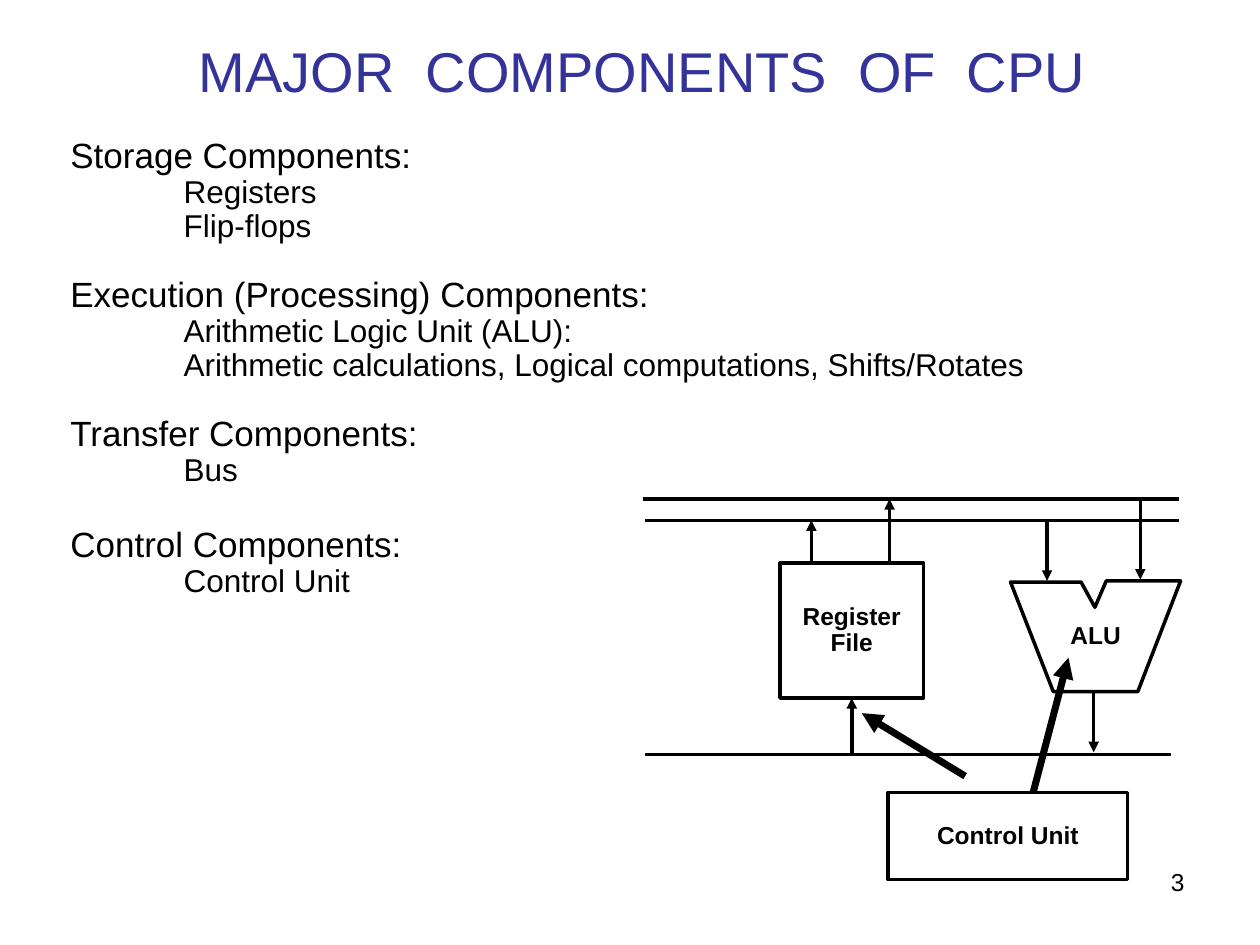
import pptx
import pptx.dml.color
import pptx.enum.shapes
import pptx.enum.text
import pptx.oxml
import pptx.oxml.ns
import pptx.util
from pptx.util import Inches

COLORS = {"title": "333399", "ink": "000000"}
FONT = "Arial"
ALIGN = pptx.enum.text.PP_ALIGN
ANCHOR = pptx.enum.text.MSO_ANCHOR

# Content
TITLE = "MAJOR  COMPONENTS  OF  CPU"
PAGE_NUMBER = "3"
# heading, space before in points, items
SECTIONS = [
    ("Storage Components:", 0, ["Registers", "Flip-flops"]),
    ("Execution (Processing) Components:", 19, [
        "Arithmetic Logic Unit (ALU):",
        "Arithmetic calculations, Logical computations, Shifts/Rotates"]),
    ("Transfer Components:", 19, ["Bus"]),
    ("Control Components:", 22, ["Control Unit"]),
]
REGISTER_FILE = (6.19, 4.47, 1.14, 1.07)
CONTROL_UNIT = (7.05, 6.29, 1.9, 0.69)
ALU_OUTLINE = [(8.02, 4.62), (8.58, 4.62), (8.69, 4.82), (8.78, 4.61),
               (9.37, 4.61), (9.03, 5.49), (8.36, 5.49)]
UPPER_BUS, LOWER_BUS, RESULT_BUS = 3.96, 4.13, 5.99
BUSES = [(5.1, 9.36, UPPER_BUS), (5.12, 9.36, LOWER_BUS), (5.12, 9.29, RESULT_BUS)]
# x, start y, end y
DATA_ARROWS = [
    (6.44, 4.47, LOWER_BUS), (7.06, 4.47, UPPER_BUS),
    (8.31, LOWER_BUS, 4.61), (9.05, 3.98, 4.6),
    (8.68, 5.49, 5.97),
]
CONTROL_ARROWS = [((7.66, 6.16), (6.84, 5.66)), ((8.2, 6.29), (8.48, 5.22))]

deck = pptx.Presentation()
deck.slide_width, deck.slide_height = Inches(10), Inches(7.5)
page = deck.slides.add_slide(deck.slide_layouts[6])


def rgb(name):
    return pptx.dml.color.RGBColor.from_string(COLORS[name])


def write(frame, text, first=True, size=14, color="ink", bold=False,
          align=ALIGN.LEFT, spacing=None, before=0, indent=0):
    """Write one paragraph into a text frame."""
    para = frame.paragraphs[0] if first else frame.add_paragraph()
    para.alignment = align
    para.space_before = pptx.util.Pt(before)
    if spacing:
        para.line_spacing = spacing
    if indent:
        props = para._p.get_or_add_pPr()
        props.set("marL", str(Inches(indent)))
        props.set("indent", "0")
    span = para.add_run()
    span.text = text
    span.font.name = FONT
    span.font.size = pptx.util.Pt(size)
    span.font.bold = bold
    span.font.color.rgb = rgb(color)


def text_frame(place, anchor=ANCHOR.TOP):
    frame = page.shapes.add_textbox(*map(Inches, place)).text_frame
    frame.word_wrap = True
    frame.vertical_anchor = anchor
    return frame


def label_unit(shape, lines):
    """Give a unit its outline and centred bold label."""
    shape.shadow.inherit = False
    shape.fill.background()
    shape.line.color.rgb = rgb("ink")
    shape.line.width = pptx.util.Pt(2)
    frame = shape.text_frame
    frame.word_wrap = True
    frame.vertical_anchor = ANCHOR.MIDDLE
    for i, line in enumerate(lines):
        write(frame, line, first=i == 0, bold=True, align=ALIGN.CENTER, spacing=0.9)
    return shape


def add_box(place, lines):
    kind = pptx.enum.shapes.MSO_SHAPE.RECTANGLE
    return label_unit(page.shapes.add_shape(kind, *map(Inches, place)), lines)


def add_line(start, end, width=2, arrow=True):
    line = page.shapes.add_connector(
        pptx.enum.shapes.MSO_CONNECTOR.STRAIGHT, *map(Inches, (*start, *end)))
    line.line.color.rgb = rgb("ink")
    line.line.width = pptx.util.Pt(width)
    if arrow:
        tail = pptx.oxml.parse_xml(
            f'<a:tailEnd {pptx.oxml.ns.nsdecls("a")} type="triangle"/>')
        line.line._get_or_add_ln().append(tail)
    line._element.spPr.append(
        pptx.oxml.parse_xml(f'<a:effectLst {pptx.oxml.ns.nsdecls("a")}/>'))
    return line


# Title and page number
title = text_frame((1.06, 0.2, 8.08, 0.71), ANCHOR.MIDDLE)
write(title, TITLE, size=32, color="title", align=ALIGN.CENTER)
write(text_frame((7.17, 6.83, 2.33, 0.52)), PAGE_NUMBER, align=ALIGN.RIGHT)

# Component list
body = text_frame((0.46, 1.05, 8.99, 3.76))
for number, (heading, gap, items) in enumerate(SECTIONS):
    write(body, heading, first=number == 0, size=20, spacing=0.9, before=gap)
    for item in items:
        write(body, item, first=False, size=18, spacing=0.9, indent=0.9)

# Units
register_file = add_box(REGISTER_FILE, ["Register", "File"])
add_box(CONTROL_UNIT, ["Control Unit"])
alu_points = [(Inches(x), Inches(y)) for x, y in ALU_OUTLINE]
builder = page.shapes.build_freeform(*alu_points[0])
builder.add_line_segments(alu_points[1:], close=True)
label_unit(builder.convert_to_shape(), ["ALU"])

# Buses and data paths
for left, right, y in BUSES:
    add_line((left, y), (right, y), arrow=False)
for x, start_y, end_y in DATA_ARROWS:
    add_line((x, start_y), (x, end_y))
left, top, width, height = REGISTER_FILE
middle = left + width / 2
write_back = add_line((middle, RESULT_BUS), (middle, top + height))
write_back.end_connect(register_file, 2)

# Control signals
for start, end in CONTROL_ARROWS:
    add_line(start, end, width=4)

deck.save("out.pptx")
